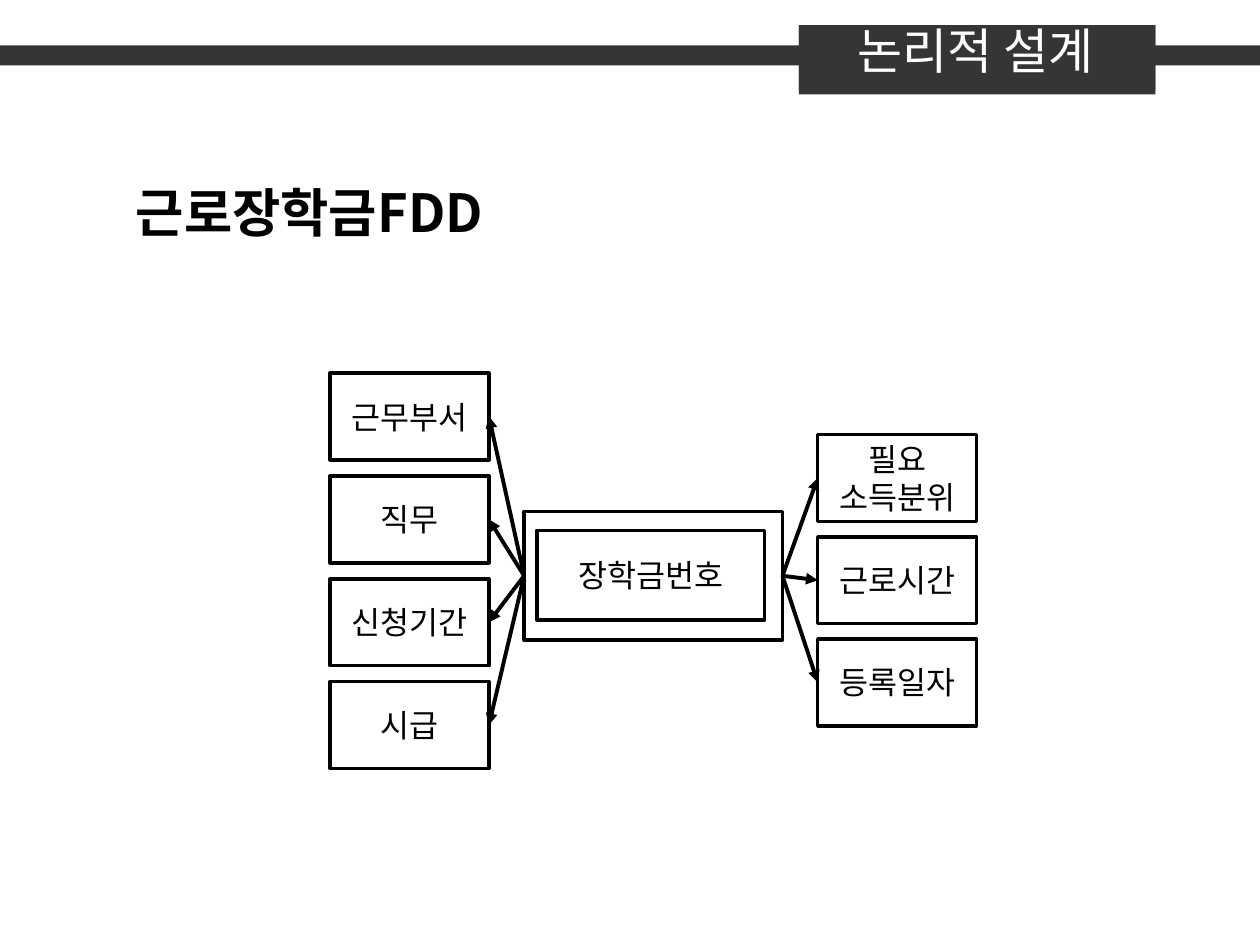
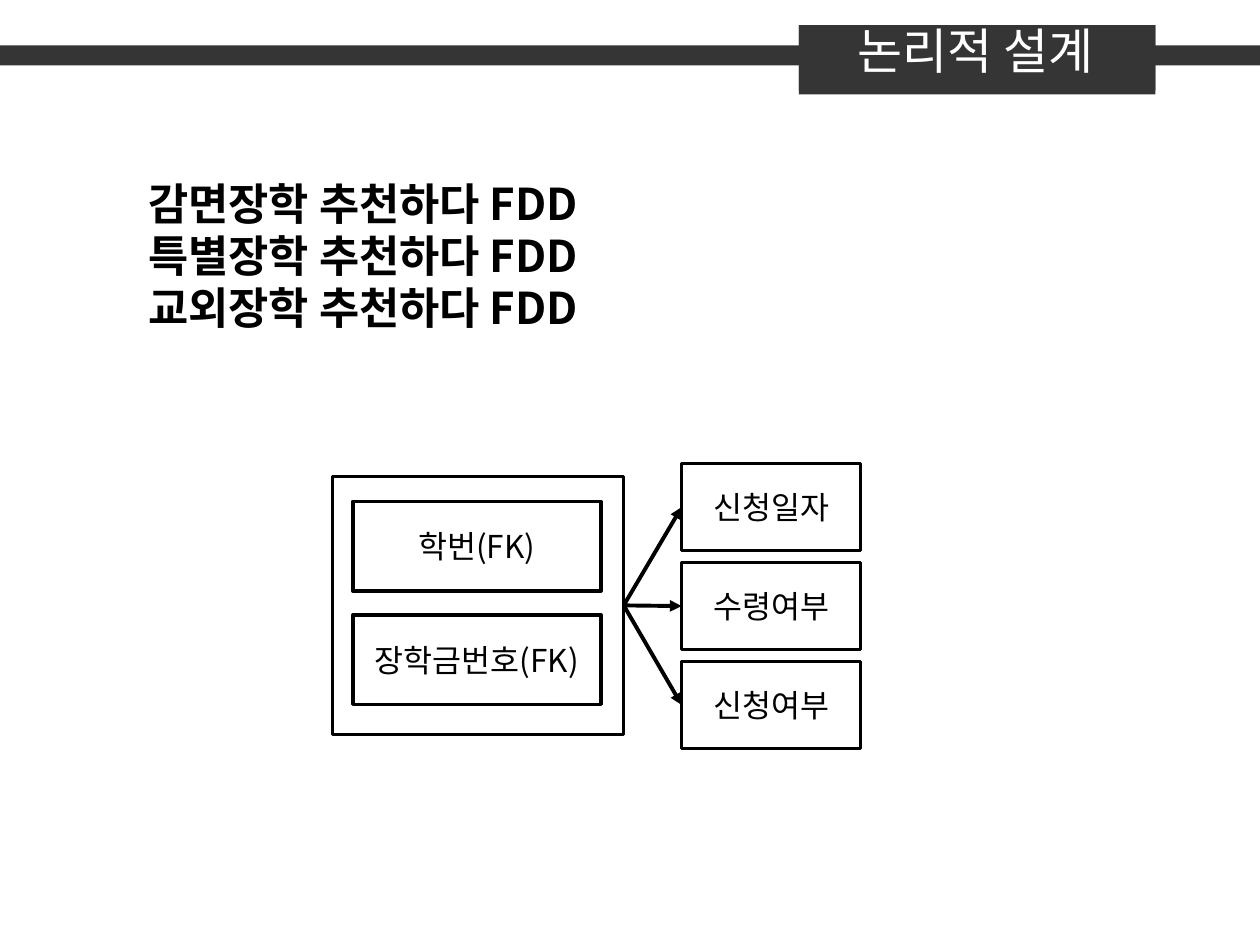
from lxml.etree import SubElement
from pptx import Presentation
from pptx.dml.color import RGBColor
from pptx.enum.shapes import MSO_CONNECTOR as Connector, MSO_SHAPE as Shape
from pptx.enum.text import MSO_ANCHOR as Anchor, MSO_AUTO_SIZE as AutoSize, PP_ALIGN as Align
from pptx.oxml.ns import qn
from pptx.util import Inches, Pt

FONT = "Noto Sans CJK KR"
CHARCOAL = RGBColor(0x36, 0x35, 0x35)
BLACK = RGBColor(0, 0, 0)
WHITE = RGBColor(0xFF, 0xFF, 0xFF)
TITLE_ONLY = 5
LEFT_SIDE, RIGHT_SIDE = 1, 3
KEY_HEIGHT, ATTRIBUTE_HEIGHT = 0.71, 0.69


def place(shape, box):
    shape.left, shape.top, shape.width, shape.height = map(Inches, box)


def write(shape, text, size, color, align=Align.LEFT, bold=False):
    frame = shape.text_frame
    frame.text = text
    for para in frame.paragraphs:
        para.alignment = align
        for span in para.runs:
            span.font.name = FONT
            span.font.size = Pt(size)
            span.font.bold = bold
            span.font.color.rgb = color
            SubElement(span.font._element, qn("a:ea"), typeface=FONT)


def add_box(slide, box, fill, line=None):
    shape = slide.shapes.add_shape(Shape.RECTANGLE, *map(Inches, box))
    shape.shadow.inherit = False
    shape.fill.solid()
    shape.fill.fore_color.rgb = fill
    if line is None:
        shape.line.fill.background()
    else:
        shape.line.color.rgb = line
        shape.line.width = Pt(2)
    return shape


# Header: band across the slide, with a tab that carries the title
def add_header(slide, box, text):
    left, top, width, height = box
    add_box(slide, (0, top + 0.16, 10, 0.16), CHARCOAL)
    add_box(slide, box, CHARCOAL)
    for edge in (left, left + width - 0.08):
        add_box(slide, (edge, top, 0.08, height - 0.03), CHARCOAL)
    title = slide.shapes.title
    title.element.getparent().append(title.element)  # in front of the tab
    place(title, (left, top - 0.09, width - 0.03, 0.57))
    write(title, text, 28, WHITE, Align.CENTER)
    title.text_frame.vertical_anchor = Anchor.TOP
    title.text_frame.auto_size = AutoSize.SHAPE_TO_FIT_TEXT


def add_heading(slide, box, text, size):
    heading = slide.shapes.add_textbox(*map(Inches, box))
    write(heading, text, size, BLACK, bold=True)
    heading.text_frame.word_wrap = True
    heading.text_frame.auto_size = AutoSize.SHAPE_TO_FIT_TEXT


# Labelled boxes spread evenly from the top to the bottom of the given box
def add_column(slide, box, labels, item_height):
    left, top, width, height = box
    pitch = (height - item_height) / max(len(labels) - 1, 1)
    column = []
    for index, label in enumerate(labels):
        item = add_box(slide, (left, top + index * pitch, width, item_height), WHITE, BLACK)
        write(item, label, 18, BLACK, Align.CENTER)
        item.text_frame.vertical_anchor = Anchor.MIDDLE
        item.text_frame.word_wrap = False
        column.append(item)
    return column


# Frame around the key fields
def add_key(slide, frame_box, keys_box, labels):
    frame = add_box(slide, frame_box, WHITE, BLACK)
    add_column(slide, keys_box, labels, KEY_HEIGHT)
    return frame


# Attributes and the arrows that lead to them from the key
def add_attributes(slide, box, labels, key, key_side):
    attribute_side = LEFT_SIDE if key_side == RIGHT_SIDE else RIGHT_SIDE
    for attribute in add_column(slide, box, labels, ATTRIBUTE_HEIGHT):
        arrow = slide.shapes.add_connector(Connector.STRAIGHT, 0, 0, 0, 0)
        arrow.begin_connect(key, key_side)
        arrow.end_connect(attribute, attribute_side)
        arrow.line.color.rgb = BLACK
        arrow.line.width = Pt(2.25)
        SubElement(arrow.line._get_or_add_ln(), qn("a:tailEnd"), type="triangle")
        SubElement(arrow.element.spPr, qn("a:effectLst"))


def add_design_slide(deck):
    slide = deck.slides.add_slide(deck.slide_layouts[TITLE_ONLY])
    add_header(slide, (6.34, 0.2, 2.83, 0.55), "논리적 설계")
    return slide


def add_work_scholarship(deck):
    slide = add_design_slide(deck)
    add_heading(slide, (0.98, 1.38, 4.96, 0.61), "근로장학금FDD", 30)
    key = add_key(slide, (4.16, 4.06, 2.05, 1.02), (4.26, 4.21, 1.81, 0.71), ["장학금번호"])
    add_attributes(slide, (2.62, 2.96, 1.26, 3.14),
                   ["근무부서", "직무", "신청기간", "시급"], key, LEFT_SIDE)
    add_attributes(slide, (6.49, 3.45, 1.26, 2.31),
                   ["필요\n소득분위", "근로시간", "등록일자"], key, RIGHT_SIDE)


def add_recommendation(deck):
    slide = add_design_slide(deck)
    kinds = ["감면장학", "특별장학", "교외장학"]
    heading = "\n".join(f"{kind} 추천하다 FDD" for kind in kinds)
    add_heading(slide, (1.08, 1.35, 5.75, 1.36), heading, 25)
    key = add_key(slide, (2.64, 3.78, 2.31, 2.05), (2.8, 3.98, 1.97, 1.61),
                  ["학번(FK)", "장학금번호(FK)"])
    add_attributes(slide, (5.41, 3.68, 1.42, 2.26),
                   ["신청일자", "수령여부", "신청여부"], key, RIGHT_SIDE)


def main():
    deck = Presentation()
    deck.slide_width, deck.slide_height = Inches(10), Inches(7.5)
    add_work_scholarship(deck)
    add_recommendation(deck)
    deck.save("out.pptx")


if __name__ == "__main__":
    main()
